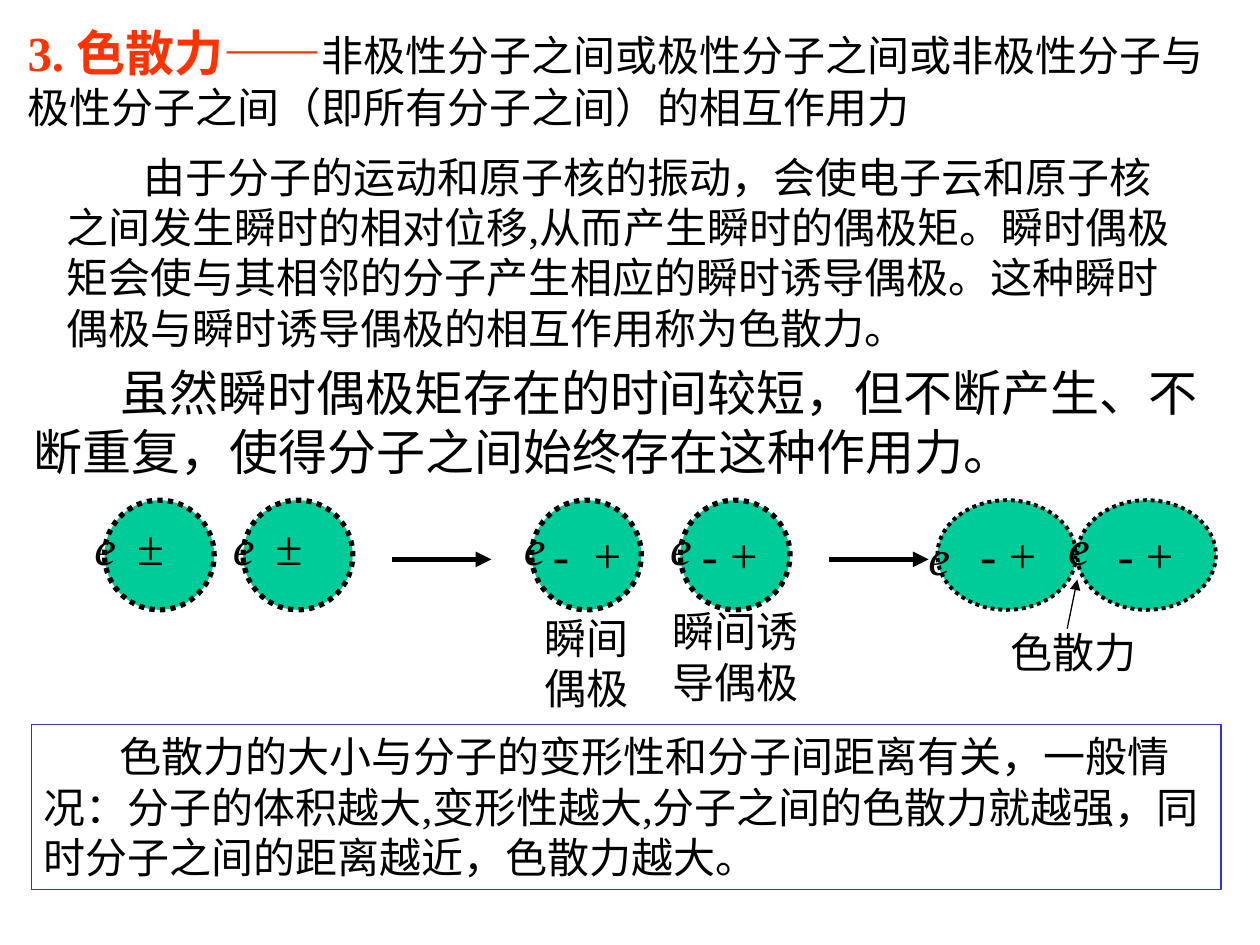
from dataclasses import dataclass

from lxml import etree
from pptx import Presentation
from pptx.dml.color import RGBColor
from pptx.enum.dml import MSO_LINE
from pptx.enum.shapes import MSO_CONNECTOR, MSO_SHAPE
from pptx.enum.text import MSO_ANCHOR, PP_ALIGN
from pptx.oxml.ns import qn
from pptx.util import Emu, Inches, Pt

BLACK = RGBColor(0x00, 0x00, 0x00)
RED = RGBColor(0xFF, 0x33, 0x00)
GREEN = RGBColor(0x00, 0xCC, 0x99)
BLUE = RGBColor(0x33, 0x33, 0xCC)

OVAL, RECT = MSO_SHAPE.OVAL, MSO_SHAPE.RECTANGLE
STRAIGHT = MSO_CONNECTOR.STRAIGHT
DOTTED = MSO_LINE.ROUND_DOT
LEFT, TOP = PP_ALIGN.LEFT, MSO_ANCHOR.TOP

FONT = "Times New Roman"
BODY, LARGE = 24, 28
COLS, ROWS = 100, 75

prs = Presentation()
prs.slide_width, prs.slide_height = Inches(10), Inches(7.5)
s = prs.slides.add_slide(prs.slide_layouts[6])


@dataclass
class Box:
    """A rectangle in grid columns and rows."""
    col: float
    row: float
    cols: float
    rows: float

    def emu(self) -> list[Emu]:
        x, y = prs.slide_width / COLS, prs.slide_height / ROWS
        return [Emu(round(v)) for v in
                (self.col * x, self.row * y, self.cols * x, self.rows * y)]


@dataclass
class Run:
    text: str
    size: float = BODY
    color: RGBColor = BLACK
    bold: bool = False
    italic: bool = False
    spacing: float = 0


@dataclass
class Molecule:
    """A dotted electron cloud with its e label and charge marks."""
    cloud: Box
    e_col: float
    mark: Box
    mark_runs: list[Run]
    e_row: float = 40.5
    line: float = 3


def write(sp, runs: list[Run], indent: float = 0) -> None:
    tf = sp.text_frame
    tf.word_wrap = True
    tf.vertical_anchor = TOP
    p = tf.paragraphs[0]
    p.alignment = LEFT
    if indent:
        p._p.get_or_add_pPr().set("indent", str(Inches(indent)))
    for run in runs:
        r = p.add_run()
        r.text = run.text
        r.font.name = FONT
        r.font.size = Pt(run.size)
        r.font.bold, r.font.italic = run.bold, run.italic
        r.font.color.rgb = run.color
        if run.spacing:
            r._r.get_or_add_rPr().set("spc", str(round(run.spacing * 100)))


def add_text(box: Box, runs: list[Run], indent: float = 0) -> None:
    write(s.shapes.add_textbox(*box.emu()), runs, indent)


def add_molecule(m: Molecule) -> None:
    sp = s.shapes.add_shape(OVAL, *m.cloud.emu())
    sp.shadow.inherit = False
    sp.fill.solid()
    sp.fill.fore_color.rgb = GREEN
    sp.line.color.rgb = BLACK
    sp.line.width = Pt(m.line)
    sp.line.dash_style = DOTTED
    add_text(m.mark, m.mark_runs)


def add_arrow(start: tuple[float, float], end: tuple[float, float], width: float) -> None:
    x1, y1, *_ = Box(*start, 0, 0).emu()
    x2, y2, *_ = Box(*end, 0, 0).emu()
    c = s.shapes.add_connector(STRAIGHT, x1, y1, x2, y2)
    c.line.color.rgb = BLACK
    c.line.width = Pt(width)
    etree.SubElement(c.line._get_or_add_ln(), qn("a:tailEnd"), type="triangle")
    etree.SubElement(c._element.spPr, qn("a:effectLst"))


# Definition and explanation
add_text(Box(1.2, 1.3, 96.9, 9.7), [
    Run("3. 色散力——", LARGE, RED, bold=True),
    Run("非极性分子之间或极性分子之间或非极性分子与极性分子之间（即所有分子之间）的相互作用力"),
])
add_text(Box(4.3, 11.5, 91.3, 17), [Run(
    "由于分子的运动和原子核的振动，会使电子云和原子核之间发生瞬时的相对位移,"
    "从而产生瞬时的偶极矩。瞬时偶极矩会使与其相邻的分子产生相应的瞬时诱导偶极。"
    "这种瞬时偶极与瞬时诱导偶极的相互作用称为色散力。")], indent=0.61)
add_text(Box(1.7, 28.3, 94.4, 10.3), [Run(
    "虽然瞬时偶极矩存在的时间较短，但不断产生、不断重复，"
    "使得分子之间始终存在这种作用力。", LARGE)], indent=0.69)

# Framed conclusion
frame = s.shapes.add_shape(RECT, *Box(2.5, 57.5, 94.4, 13.1).emu())
frame.shadow.inherit = False
frame.fill.background()
frame.line.color.rgb = BLUE
frame.line.width = Pt(0.75)
write(frame, [Run(
    "色散力的大小与分子的变形性和分子间距离有关，一般情况：分子的体积越大,"
    "变形性越大,分子之间的色散力就越强，同时分子之间的距离越近，色散力越大。")], indent=0.6)

# Molecules: neutral, with momentary dipoles, attracting each other
NEUTRAL = [Run("±", LARGE)]
DIPOLE = [Run("- +", LARGE)]
WIDE_DIPOLE = [Run("-", LARGE), Run(" ", LARGE, spacing=7), Run("+", LARGE)]
CLOUD_ROW, CLOUD = 39.7, 8.7
MARK_ROW, LABEL = 41.1, 5.7

molecules = [
    Molecule(Box(col, CLOUD_ROW, CLOUD, CLOUD), col - 1.8,
             Box(col + 1.6, 40.5, 4.7, LABEL), NEUTRAL)
    for col in (8.3, 19.3)
] + [
    Molecule(Box(col, CLOUD_ROW, CLOUD, CLOUD), e_col,
             Box(col + 0.7, MARK_ROW, 7.9, LABEL), runs)
    for col, e_col, runs in ((42.2, 40.6, WIDE_DIPOLE), (54, 52.2, DIPOLE))
] + [
    Molecule(Box(col, CLOUD_ROW, 11, CLOUD), col - 1.7,
             Box(mark_col, MARK_ROW, 7.6, LABEL), DIPOLE, e_row, 2.25)
    for col, mark_col, e_row in ((74.4, 76.8, 41.3), (85.5, 87.7, 40.5))
]
for molecule in molecules:
    add_molecule(molecule)
for molecule in molecules:
    add_text(Box(molecule.e_col, molecule.e_row, 3.4, LABEL),
             [Run("e", LARGE, italic=True)])

# Arrows between the stages, and the pointer to the contact
for col in (31.1, 65.8):
    add_arrow((col, 44.4), (col + 7.9, 44.4), 3)
add_arrow((84.7, 49.9), (85.5, 46), 0.75)

# Captions
for box, caption in (
    (Box(42.2, 48.1, 9.4, 9), "瞬间偶极"),
    (Box(52.4, 47.6, 13.4, 9), "瞬间诱导偶极"),
    (Box(79.2, 49.2, 15, 5), "色散力"),
):
    add_text(box, [Run(caption)])

prs.save("out.pptx")
